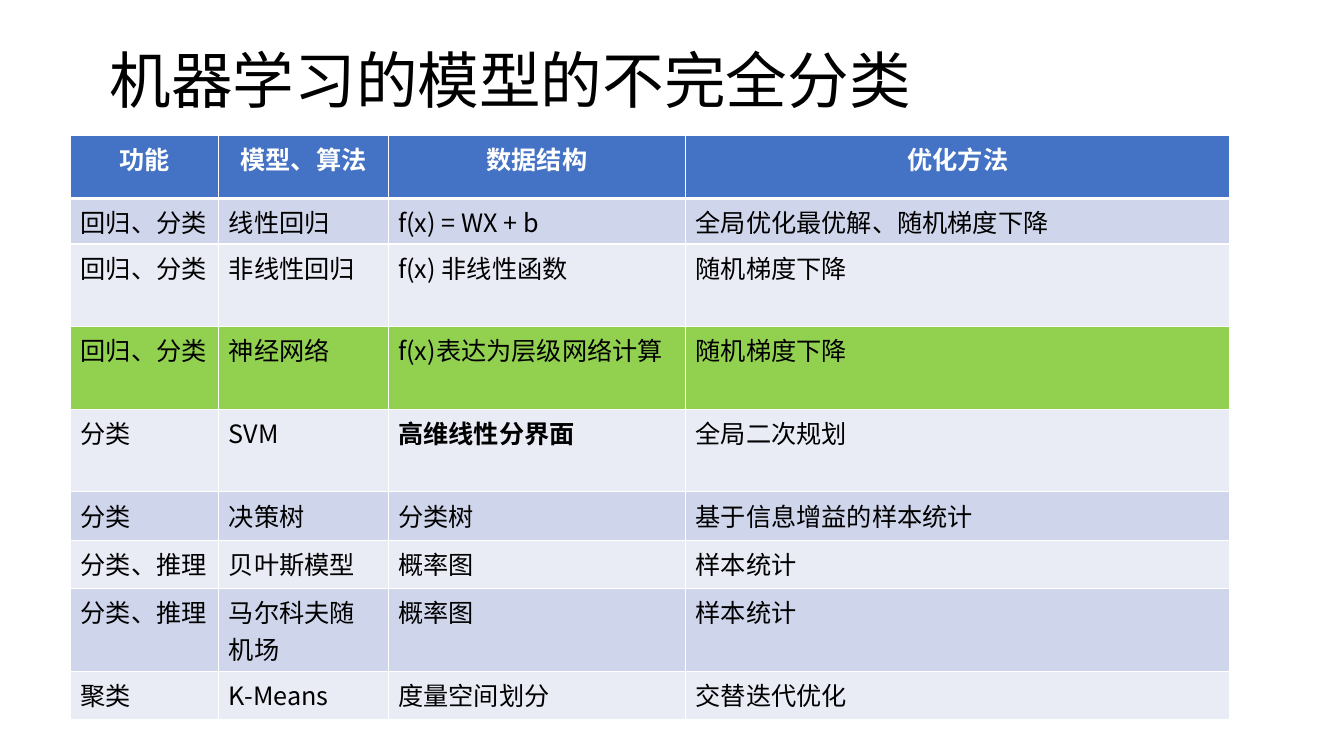
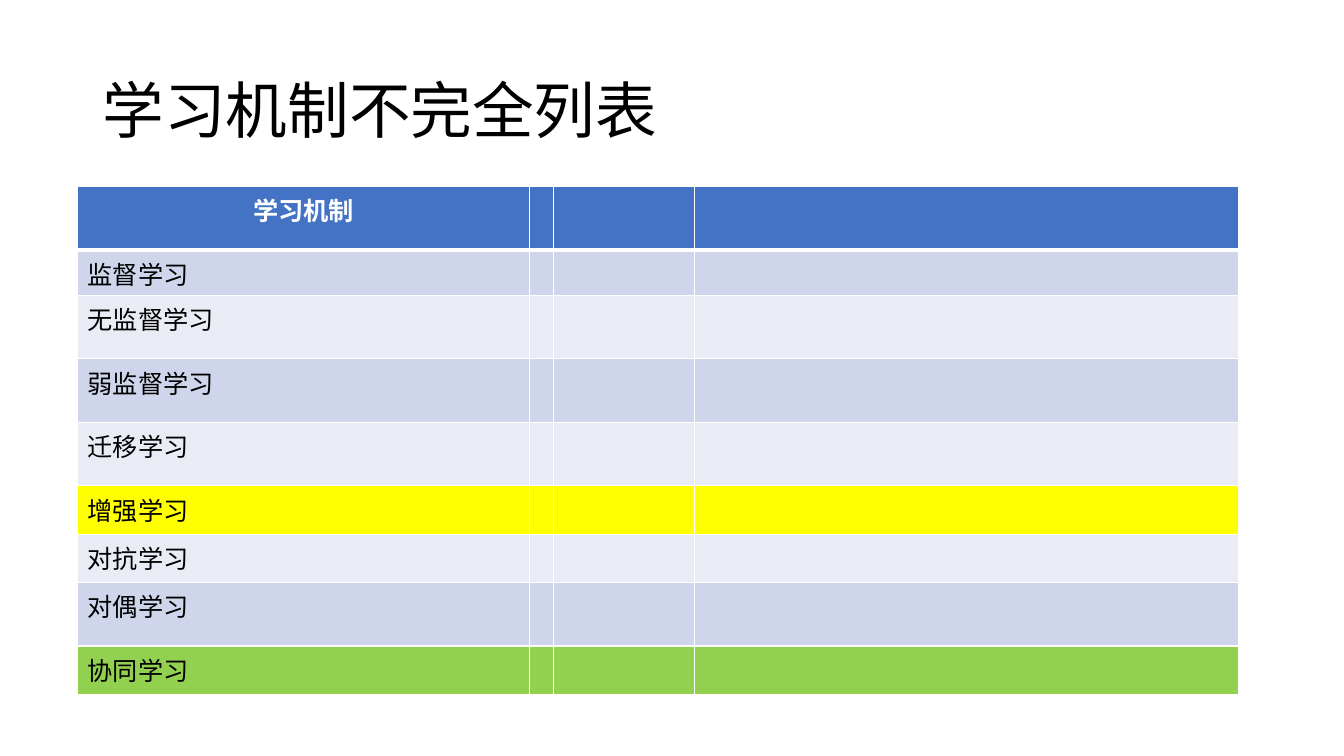
from dataclasses import dataclass, field

from lxml.etree import SubElement
from pptx import Presentation
from pptx.dml.color import RGBColor
from pptx.enum.text import MSO_ANCHOR as Anchor, PP_ALIGN as Align
from pptx.oxml.ns import qn
from pptx.slide import Slide
from pptx.table import _Cell as Cell
from pptx.text.text import _Paragraph as Paragraph
from pptx.util import Inches, Pt

# The slide is a grid of 1333 columns by 750 rows.
GRID = Inches(0.01)
SLIDE_COLUMNS, SLIDE_ROWS = 1333, 750
TITLE_WIDTH, TITLE_HEIGHT = 1150, 145

FONT = "Noto Sans CJK SC"
TITLE_SIZE, TABLE_SIZE = Pt(44), Pt(18)
THIN, THICK = Pt(1), Pt(3)

BLACK = RGBColor(0x00, 0x00, 0x00)
WHITE = RGBColor(0xFF, 0xFF, 0xFF)
HEADER_BLUE = RGBColor(0x44, 0x72, 0xC4)
GREEN = RGBColor(0x92, 0xD0, 0x50)
YELLOW = RGBColor(0xFF, 0xFF, 0x00)
BANDS = (RGBColor(0xE9, 0xEB, 0xF5), RGBColor(0xCF, 0xD5, 0xEA))


@dataclass(frozen=True)
class TableSlide:
    title: str
    title_at: tuple[int, int]
    table_at: tuple[int, int]
    columns: tuple[int, ...]
    rows: tuple[int, ...]
    texts: tuple[tuple[str, ...], ...]
    highlights: dict[int, RGBColor]
    bold_cells: set[tuple[int, int]] = field(default_factory=set)


MODELS = TableSlide(
    title="机器学习的模型的不完全分类",
    title_at=(99, 10),
    table_at=(70, 134),
    columns=(147, 168, 295, 540),
    rows=(63, 45, 82, 82, 82, 48, 48, 82, 48),
    texts=(
        ("功能", "模型、算法", "数据结构", "优化方法"),
        ("回归、分类", "线性回归", "f(x) = WX + b", "全局优化最优解、随机梯度下降"),
        ("回归、分类", "非线性回归", "f(x) 非线性函数", "随机梯度下降"),
        ("回归、分类", "神经网络", "f(x)表达为层级网络计算", "随机梯度下降"),
        ("分类", "SVM", "高维线性分界面", "全局二次规划"),
        ("分类", "决策树", "分类树", "基于信息增益的样本统计"),
        ("分类、推理", "贝叶斯模型", "概率图", "样本统计"),
        ("分类、推理", "马尔科夫随机场", "概率图", "样本统计"),
        ("聚类", "K-Means", "度量空间划分", "交替迭代优化"),
    ),
    highlights={3: GREEN},
    bold_cells={(4, 2)},
)

MECHANISMS = TableSlide(
    title="学习机制不完全列表",
    title_at=(92, 40),
    table_at=(77, 185),
    columns=(448, 23, 140, 540),
    rows=(63, 45, 63, 63, 63, 48, 48, 63, 48),
    texts=(
        ("学习机制",),
        ("监督学习",),
        ("无监督学习",),
        ("弱监督学习",),
        ("迁移学习",),
        ("增强学习",),
        ("对抗学习",),
        ("对偶学习",),
        ("协同学习",),
    ),
    highlights={5: YELLOW, 8: GREEN},
)


def format_runs(para: Paragraph, size: Pt, color: RGBColor, bold: bool = False) -> None:
    for span in para.runs:
        span.font.size = size
        span.font.name = FONT
        span.font.bold = bold
        span.font.color.rgb = color
        east_asian = SubElement(span.font._element, qn("a:ea"))
        east_asian.set("typeface", FONT)


def set_borders(cell: Cell, top: Pt, bottom: Pt) -> None:
    """Draw white borders; must run before the cell is filled."""
    properties = cell._tc.get_or_add_tcPr()
    for side, width in (("L", THIN), ("R", THIN), ("T", top), ("B", bottom)):
        line = SubElement(properties, qn(f"a:ln{side}"), w=str(int(width)))
        fill = SubElement(line, qn("a:solidFill"))
        SubElement(fill, qn("a:srgbClr"), val=str(WHITE))


def add_title(page: Slide, content: TableSlide) -> None:
    left, top = content.title_at
    box = page.shapes.add_textbox(
        left * GRID, top * GRID, TITLE_WIDTH * GRID, TITLE_HEIGHT * GRID
    )
    frame = box.text_frame
    frame.word_wrap = True
    frame.vertical_anchor = Anchor.MIDDLE
    frame.text = content.title
    para = frame.paragraphs[0]
    para.line_spacing = 0.9
    format_runs(para, TITLE_SIZE, BLACK)


def add_grid_table(page: Slide, content: TableSlide) -> None:
    left, top = content.table_at
    table = page.shapes.add_table(
        len(content.rows), len(content.columns), left * GRID, top * GRID,
        sum(content.columns) * GRID, sum(content.rows) * GRID,
    ).table
    for column, width in zip(table.columns, content.columns):
        column.width = width * GRID
    for row, height in zip(table.rows, content.rows):
        row.height = height * GRID

    for row_index, row in enumerate(table.rows):
        is_header = row_index == 0
        band = HEADER_BLUE if is_header else BANDS[row_index % 2]
        color = content.highlights.get(row_index, band)
        for cell in row.cells:
            set_borders(
                cell,
                top=THICK if row_index == 1 else THIN,
                bottom=THICK if is_header else THIN,
            )
            cell.fill.solid()
            cell.fill.fore_color.rgb = color
        for column_index, text in enumerate(content.texts[row_index]):
            cell = table.cell(row_index, column_index)
            cell.text_frame.text = text
            para = cell.text_frame.paragraphs[0]
            if is_header:
                para.alignment = Align.CENTER
            bold = is_header or (row_index, column_index) in content.bold_cells
            format_runs(para, TABLE_SIZE, WHITE if is_header else BLACK, bold)


def main() -> None:
    deck = Presentation()
    deck.slide_width = SLIDE_COLUMNS * GRID
    deck.slide_height = SLIDE_ROWS * GRID
    blank = deck.slide_layouts[6]
    for content in (MODELS, MECHANISMS):
        page = deck.slides.add_slide(blank)
        add_title(page, content)
        add_grid_table(page, content)
    deck.save("out.pptx")


if __name__ == "__main__":
    main()
